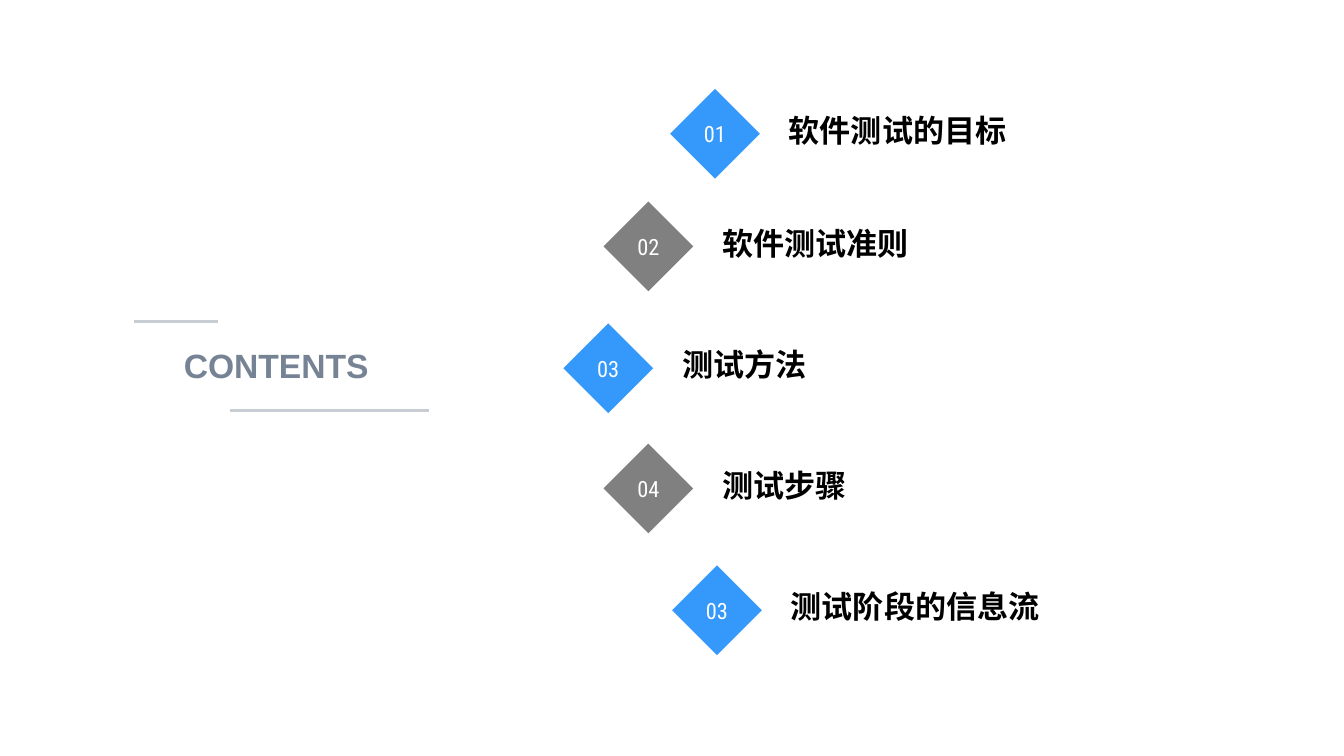
from lxml import etree
from pptx import Presentation
from pptx.dml.color import RGBColor
from pptx.enum.shapes import MSO_CONNECTOR, MSO_SHAPE
from pptx.enum.text import MSO_ANCHOR, MSO_AUTO_SIZE, PP_ALIGN
from pptx.oxml.ns import qn
from pptx.util import Cm, Pt

STRAIGHT = MSO_CONNECTOR.STRAIGHT
DIAMOND = MSO_SHAPE.DIAMOND
TOP, MIDDLE, BOTTOM = MSO_ANCHOR.TOP, MSO_ANCHOR.MIDDLE, MSO_ANCHOR.BOTTOM
LEFT, CENTER = PP_ALIGN.LEFT, PP_ALIGN.CENTER
NO_AUTOFIT = MSO_AUTO_SIZE.NONE
TITLE_ONLY = 5

BLUE, GRAY, WHITE, BLACK = "3598FB", "808080", "FFFFFF", "000000"
SLATE, PALE = "768394", "C8CDD4"

NUMBER_FORMAT = {"name": "Roboto Condensed", "size": Pt(16), "bold": False}
TOPIC_FORMAT = {"name": "Arial", "size": Pt(22.2), "bold": True}
TITLE_FORMAT = {"name": "Arial", "size": Pt(24), "bold": True}

DIAMOND_SIDE = 2.26
TOPIC_OFFSET = (2.74, 0.61)
TOPIC_SIZE = (9.91, 1.02)

TOPICS = [
    ("01", "软件测试的目标", 16.89, 2.24),
    ("02", "软件测试准则", 15.21, 5.08),
    ("03", "测试方法", 14.2, 8.15),
    ("04", "测试步骤", 15.21, 11.18),
    ("03", "测试阶段的信息流", 16.94, 14.25),
]
TITLE_RULES = [(5.49, 3.38, 8.1), (5.79, 10.8, 10.34)]


def color(hex_value):
    """Turn a hex string into a colour."""
    return RGBColor.from_string(hex_value)


def apply_format(target, values):
    """Set every attribute named in a dict of format values."""
    for name, value in values.items():
        setattr(target, name, value)


class ContentsSlide:
    """Holds the style and the current slide."""

    def __init__(self, presentation):
        """Add a title-only slide to the presentation."""
        self.slide = presentation.slides.add_slide(presentation.slide_layouts[TITLE_ONLY])
        self.shapes = self.slide.shapes

    def set_text(self, shape, text, font_format, text_color, anchor, alignment, wrap=True):
        """Put one formatted paragraph into a shape."""
        frame = shape.text_frame
        frame.text = text
        apply_format(frame, {"auto_size": NO_AUTOFIT, "vertical_anchor": anchor, "word_wrap": wrap})
        paragraph = frame.paragraphs[0]
        paragraph.alignment = alignment
        font = paragraph.runs[0].font
        apply_format(font, font_format)
        font.color.rgb = color(text_color)

    def title(self, text, left, top, width, height):
        """Place and fill the title placeholder."""
        title = self.shapes.title
        apply_format(title, {"left": Cm(left), "top": Cm(top), "width": Cm(width), "height": Cm(height)})
        self.set_text(title, text, TITLE_FORMAT, SLATE, TOP, CENTER)
        title.text_frame.margin_top = Cm(0.22)

    def rule(self, start, end, top):
        """Draw a thin horizontal line."""
        line = self.shapes.add_connector(STRAIGHT, Cm(start), Cm(top), Cm(end), Cm(top))
        line.line.color.rgb = color(PALE)
        line.line.width = Pt(1.75)
        etree.SubElement(line._element.spPr, qn("a:effectLst"))

    def diamond(self, number, left, top, fill):
        """Draw a numbered diamond."""
        side = Cm(DIAMOND_SIDE)
        diamond = self.shapes.add_shape(DIAMOND, Cm(left), Cm(top), side, side)
        diamond.shadow.inherit = False
        diamond.fill.solid()
        diamond.fill.fore_color.rgb = color(fill)
        diamond.line.fill.background()
        self.set_text(diamond, number, NUMBER_FORMAT, WHITE, MIDDLE, CENTER, wrap=False)

    def topic(self, text, left, top):
        """Add the text of one topic."""
        width, height = TOPIC_SIZE
        box = self.shapes.add_textbox(Cm(left), Cm(top), Cm(width), Cm(height))
        self.set_text(box, text, TOPIC_FORMAT, BLACK, BOTTOM, LEFT)


def main():
    """Build and save the contents slide."""
    presentation = Presentation()
    presentation.slide_width, presentation.slide_height = Cm(33.87), Cm(19.05)
    contents = ContentsSlide(presentation)
    contents.title("CONTENTS", 4.19, 8.48, 5.54, 1.47)
    for start, end, top in TITLE_RULES:
        contents.rule(start, end, top)
    offset_x, offset_y = TOPIC_OFFSET
    for index, (number, text, left, top) in enumerate(TOPICS):
        contents.diamond(number, left, top, GRAY if index % 2 else BLUE)
        contents.topic(text, left + offset_x, top + offset_y)
    presentation.save("out.pptx")


if __name__ == "__main__":
    main()
